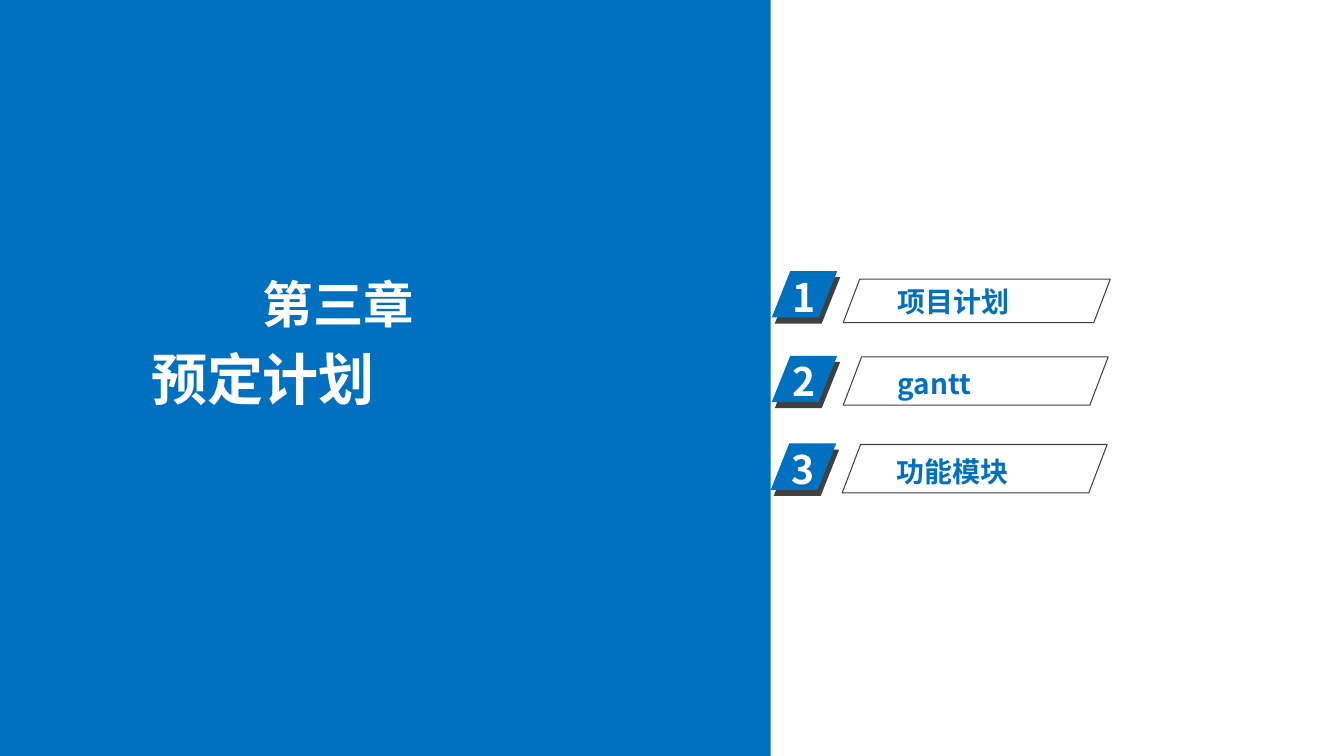
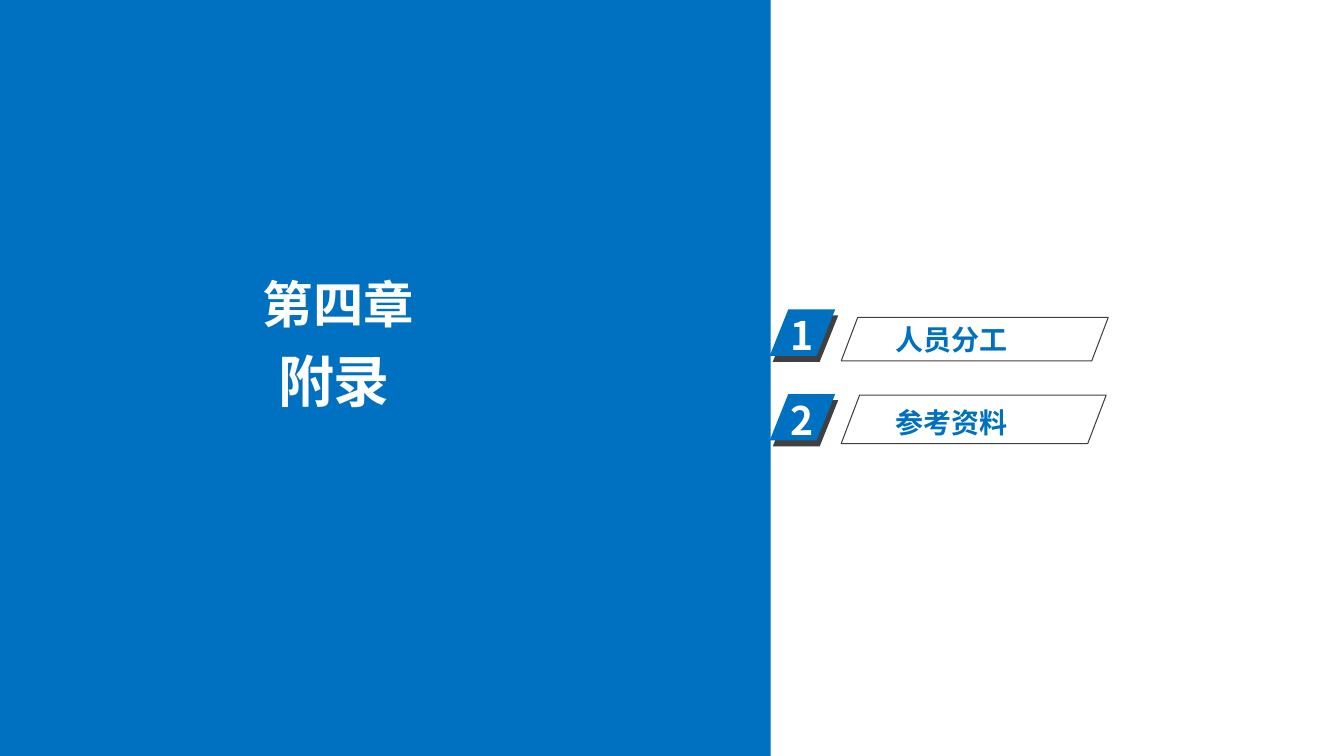
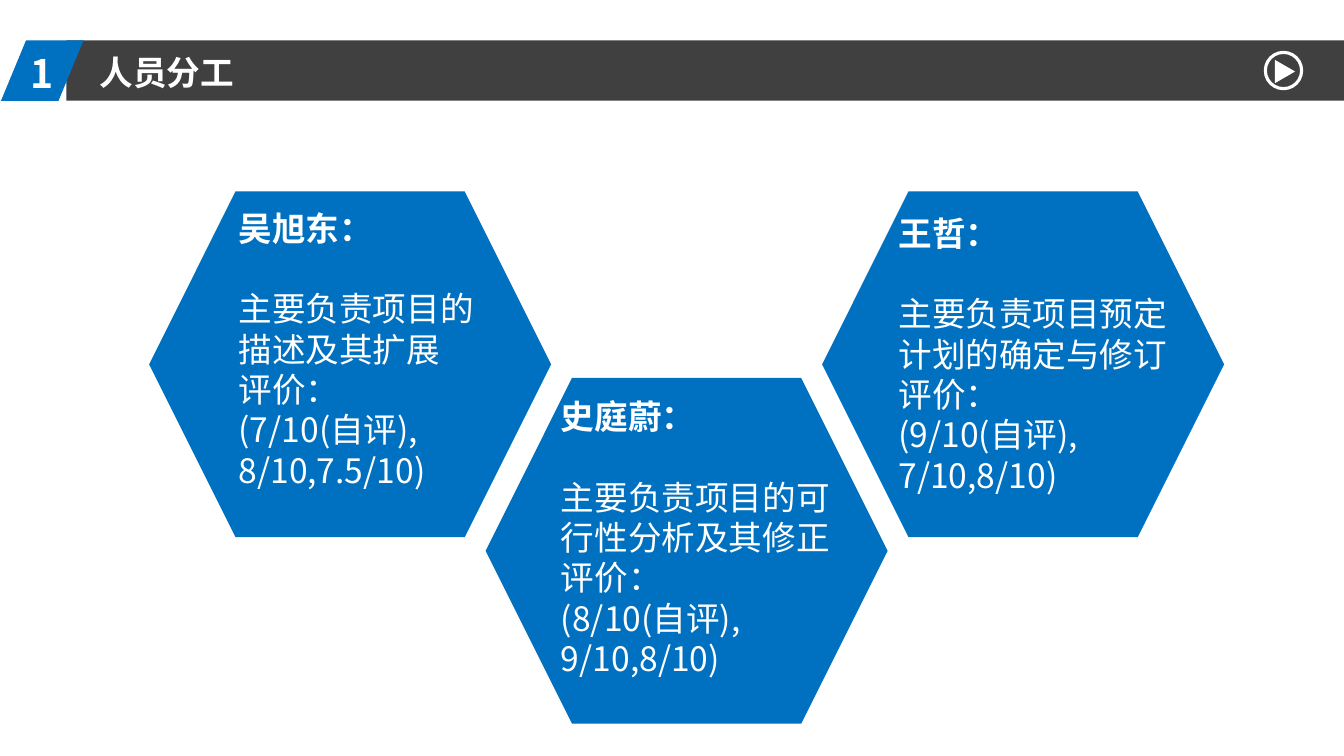
from dataclasses import dataclass
from pptx import Presentation as Deck
from pptx.dml.color import RGBColor as Rgb
from pptx.enum.shapes import MSO_SHAPE as Kind
from pptx.enum.text import MSO_ANCHOR as Anchor, MSO_AUTO_SIZE as Fit, PP_ALIGN as Align
from pptx.oxml.ns import qn
from pptx.util import Inches, Pt
from lxml.etree import SubElement as Sub


@dataclass(frozen=True)
class Theme:
    blue: str = "0070C0"
    dark: str = "404040"
    white: str = "FFFFFF"
    font: str = "Noto Sans CJK SC"
    head: int = 40
    label: int = 36
    mark: int = 28
    body: int = 24
    item: int = 20


T = Theme()


def place(shape, box):
    shape.left, shape.top, shape.width, shape.height = map(Inches, box)


def draw(slide, kind, box, fill=None, line=None, width=0.75, adj=None, turn=0):
    shape = slide.shapes.add_shape(kind, *map(Inches, box))
    shape.shadow.inherit = False
    shape.rotation = turn
    if adj is not None:
        shape.adjustments[0] = adj
    if fill:
        shape.fill.solid()
        shape.fill.fore_color.rgb = Rgb.from_string(fill)
    else:
        shape.fill.background()
    if line:
        shape.line.color.rgb = Rgb.from_string(line)
        shape.line.width = Pt(width)
    else:
        shape.line.fill.background()


def style(run, size, color, bold):
    font = run.font
    font.name, font.size, font.bold = T.font, Pt(size), bold
    font.color.rgb = Rgb.from_string(color)
    Sub(font._element, qn("a:ea")).set("typeface", T.font)


def write(shape, *lines, size=T.body, color=T.white, bold=True, lead=False, gap=0):
    frame = shape.text_frame
    frame.auto_size = Fit.NONE
    frame.word_wrap = True
    frame.vertical_anchor = Anchor.TOP
    for i, line in enumerate(lines):
        para = frame.paragraphs[0] if i == 0 else frame.add_paragraph()
        para.alignment = Align.LEFT
        if i == 1 and gap:
            para.space_before = Pt(gap)
        run = para.add_run()
        run.text = line
        style(run, size, color, bold and not (lead and i))


def text(slide, box, *lines, **form):
    write(slide.shapes.add_textbox(*map(Inches, box)), *lines, **form)


def title(slide, box, words, size):
    shape = slide.shapes.title
    slide.shapes._spTree.append(shape._element)
    place(shape, box)
    write(shape, words, size=size)


def badge(slide, x, y, num):
    for dx, dy, fill in ((0.03, 0.06, T.dark), (0, 0, T.blue)):
        draw(slide, Kind.PARALLELOGRAM, (x + dx, y + dy, 0.65, 0.46), fill, adj=0.4)
    text(slide, (x + 0.11, y - 0.03, 0.69, 0.57), str(num), size=T.mark)


def entry(slide, x, y, num, words):
    badge(slide, x, y, num)
    if num == 1:
        frame, drop = (x + 0.71, y + 0.08, 2.65, 0.43), 0.08
    else:
        frame, drop = (x + 0.71, y + 0.01, 2.63, 0.48), 0.06
    draw(slide, Kind.PARALLELOGRAM, frame, line=T.dark, adj=0.38)
    text(slide, (x + 1.15, y + drop, 3.03, 0.44), words, size=T.item, color=T.blue)


def chapter(slide, label, name, box, items):
    draw(slide, Kind.RECTANGLE, (0, 0, 7.65, 7.5), T.blue)
    text(slide, (2.51, 2.66, 1.81, 0.7), label, size=T.label)
    title(slide, box, name, T.head)
    for num, (x, y, words) in enumerate(items, 1):
        entry(slide, x, y, num, words)


def header(slide, num, name):
    draw(slide, Kind.RECTANGLE, (0.66, 0.4, 12.68, 0.6), T.dark)
    draw(slide, Kind.PARALLELOGRAM, (0.01, 0.4, 0.82, 0.6), T.blue, adj=0.415)
    text(slide, (0.2, 0.44, 0.69, 0.57), str(num), size=T.mark)
    title(slide, (0.89, 0.46, 2.74, 0.5), name, T.body)
    draw(slide, Kind.OVAL, (12.56, 0.52, 0.36, 0.36), line=T.white, width=2.25)
    draw(slide, Kind.ISOSCELES_TRIANGLE, (12.64, 0.61, 0.23, 0.2), T.white, turn=90)


def team(slide, cards):
    for i in range(len(cards)):
        draw(slide, Kind.HEXAGON, (1.48 + 3.34 * i, 1.9 + 1.85 * (i % 2), 3.99, 3.43),
             T.blue, adj=0.25)
    for x, y, wide, name, duty, own, rest in cards:
        text(slide, (x, y, wide, 2.9), name + "：", duty, "评价：", f"({own}(自评),",
             rest + ")", lead=True, gap=28.8)


def main():
    deck = Deck()
    deck.slide_width, deck.slide_height = Inches(13.34), Inches(7.5)
    plan, extra, staff = (deck.slides.add_slide(deck.slide_layouts[5]) for _ in range(3))
    chapter(plan, "第三章", "预定计划", (1.4, 3.37, 3.77, 0.77), [
        (7.66, 2.69, "项目计划"), (7.66, 3.53, "gantt"), (7.65, 4.4, "功能模块")])
    chapter(extra, "第四章", "附录", (2.66, 3.39, 1.81, 0.77), [
        (7.64, 3.07, "人员分工"), (7.64, 3.91, "参考资料")])
    header(staff, 1, "人员分工")
    team(staff, [
        (2.27, 2.01, 2.74, "吴旭东", "主要负责项目的描述及其扩展", "7/10", "8/10,7.5/10"),
        (5.47, 3.88, 2.87, "史庭蔚", "主要负责项目的可行性分析及其修正", "8/10", "9/10,8/10"),
        (8.82, 2.06, 3.04, "王哲", "主要负责项目预定计划的确定与修订", "9/10", "7/10,8/10")])
    deck.save("out.pptx")


if __name__ == "__main__":
    main()
